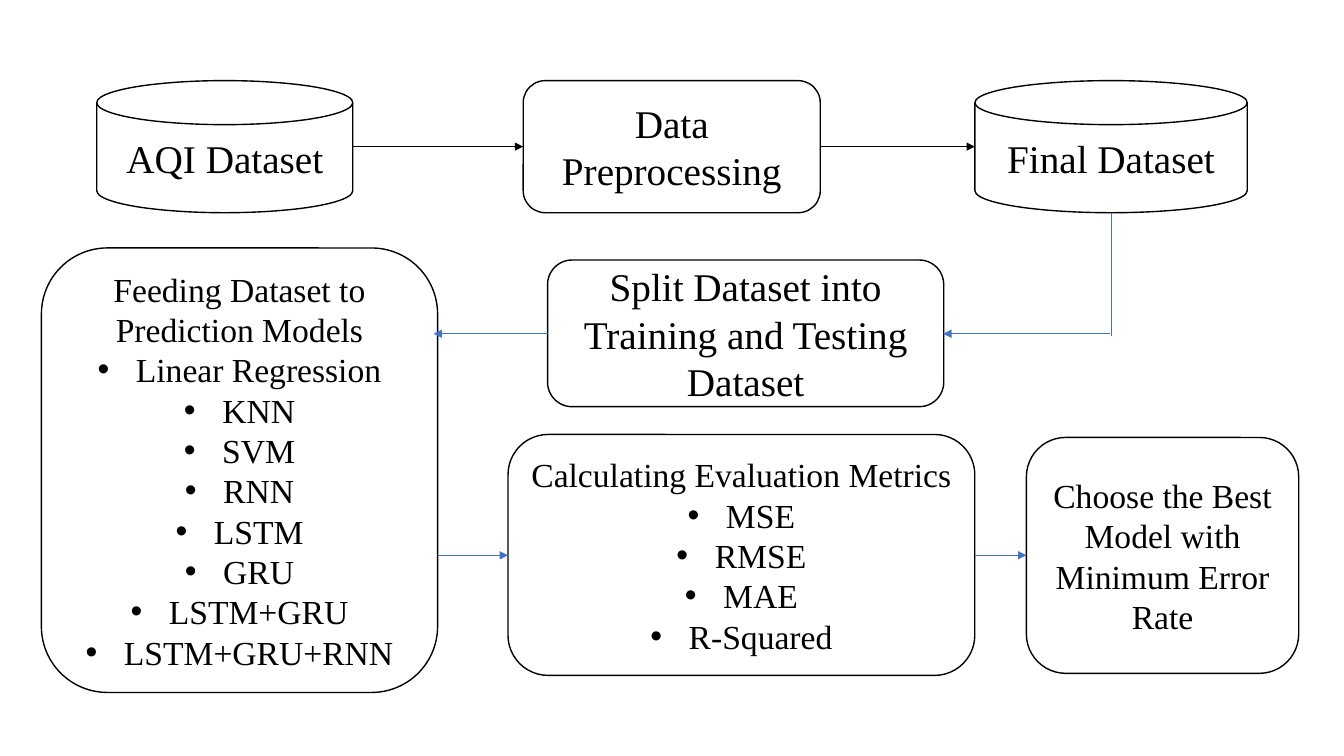
from lxml import etree
from pptx import Presentation
from pptx.dml.color import RGBColor
from pptx.enum.shapes import MSO_CONNECTOR, MSO_SHAPE
from pptx.enum.text import MSO_ANCHOR, PP_ALIGN
from pptx.oxml.ns import qn
from pptx.util import Inches, Pt

DISK = MSO_SHAPE.FLOWCHART_MAGNETIC_DISK
ROUND = MSO_SHAPE.ROUNDED_RECTANGLE
STRAIGHT = MSO_CONNECTOR.STRAIGHT
CENTER, MIDDLE = PP_ALIGN.CENTER, MSO_ANCHOR.MIDDLE
COLORS = {"black": "000000", "white": "FFFFFF", "blue": "4472C4"}
RGB = {name: RGBColor.from_string(value) for name, value in COLORS.items()}
FONT = "Times New Roman"

prs = Presentation()
prs.slide_width, prs.slide_height = Inches(13.33), Inches(7.5)
slide = prs.slides.add_slide(prs.slide_layouts[6])

# Lengths are percentages of the slide's width and height
COL, ROW = prs.slide_width / 100, prs.slide_height / 100


def write(p, text, size=28, color="black", bullet=False):
    p.alignment = CENTER
    r = p.add_run()
    r.text = text
    r.font.name, r.font.size = FONT, Pt(size)
    r.font.color.rgb = RGB[color]
    if bullet:
        pPr = p._p.get_or_add_pPr()
        pPr.set("marL", str(Inches(0.38)))
        pPr.set("indent", str(-Inches(0.38)))
        etree.SubElement(pPr, qn("a:buFont")).set("typeface", "Arial")
        etree.SubElement(pPr, qn("a:buChar")).set("char", "•")


def add_line(x1, y1, x2, y2, color="blue", arrow=True):
    line = slide.shapes.add_connector(
        STRAIGHT, int(x1 * COL), int(y1 * ROW), int(x2 * COL), int(y2 * ROW))
    line.line.color.rgb = RGB[color]
    line.line.width = Pt(0.5)
    if arrow:
        ln = line.line._get_or_add_ln()
        etree.SubElement(ln, qn("a:tailEnd")).set("type", "triangle")
    etree.SubElement(line._element.spPr, qn("a:effectLst"))


# Steps: shape, left, top, width, height, text size, heading, bullets
models = ["Linear Regression", "KNN", "SVM", "RNN", "LSTM", "GRU",
          "LSTM+GRU", "LSTM+GRU+RNN"]
metrics = ["MSE", "RMSE", "MAE", "R-Squared"]
steps = [
    (DISK, 7.2, 10.67, 19.05, 17.47, 28, "AQI Dataset", []),
    (ROUND, 38.93, 10.67, 22.1, 17.47, 28, "Data Preprocessing", []),
    (DISK, 72.54, 10.67, 20.26, 17.47, 28, "Final Dataset", []),
    (ROUND, 40.74, 34.4, 29.48, 19.4, 28,
     "Split Dataset into Training and Testing Dataset", []),
    (ROUND, 3.08, 32.8, 29.48, 58.8, 24,
     "Feeding Dataset to Prediction Models", models),
    (ROUND, 37.8, 57.47, 34.73, 31.87, 24,
     "Calculating Evaluation Metrics", metrics),
    (ROUND, 76.37, 57.87, 20.26, 31.2, 24,
     "Choose the Best Model with Minimum Error Rate", []),
]
for kind, left, top, width, height, size, heading, bullets in steps:
    sp = slide.shapes.add_shape(kind, int(left * COL), int(top * ROW),
                                int(width * COL), int(height * ROW))
    sp.shadow.inherit = False
    sp.fill.solid()
    sp.fill.fore_color.rgb = RGB["white"]
    sp.line.color.rgb = RGB["black"]
    sp.line.width = Pt(1)
    tf = sp.text_frame
    tf.word_wrap = True
    tf.vertical_anchor = MIDDLE
    write(tf.paragraphs[0], heading, size=size)
    for item in bullets:
        write(tf.add_paragraph(), item, size=size, bullet=True)

# Top row: dataset to preprocessing to final dataset
for start, end in [(26.25, 38.93), (61.03, 72.54)]:
    add_line(start, 19.4, end, 19.4, color="black")

# Middle row: down from the final dataset, then leftwards
add_line(82.67, 28.14, 82.67, 44.4, arrow=False)
for start, end in [(82.6, 70.18), (40.74, 32.26)]:
    add_line(start, 44.15, end, 44.15)

# Bottom row: models to metrics to best model
for start, end in [(32.6, 37.8), (72.53, 76.37)]:
    add_line(start, 73.45, end, 73.45)

prs.save("out.pptx")
